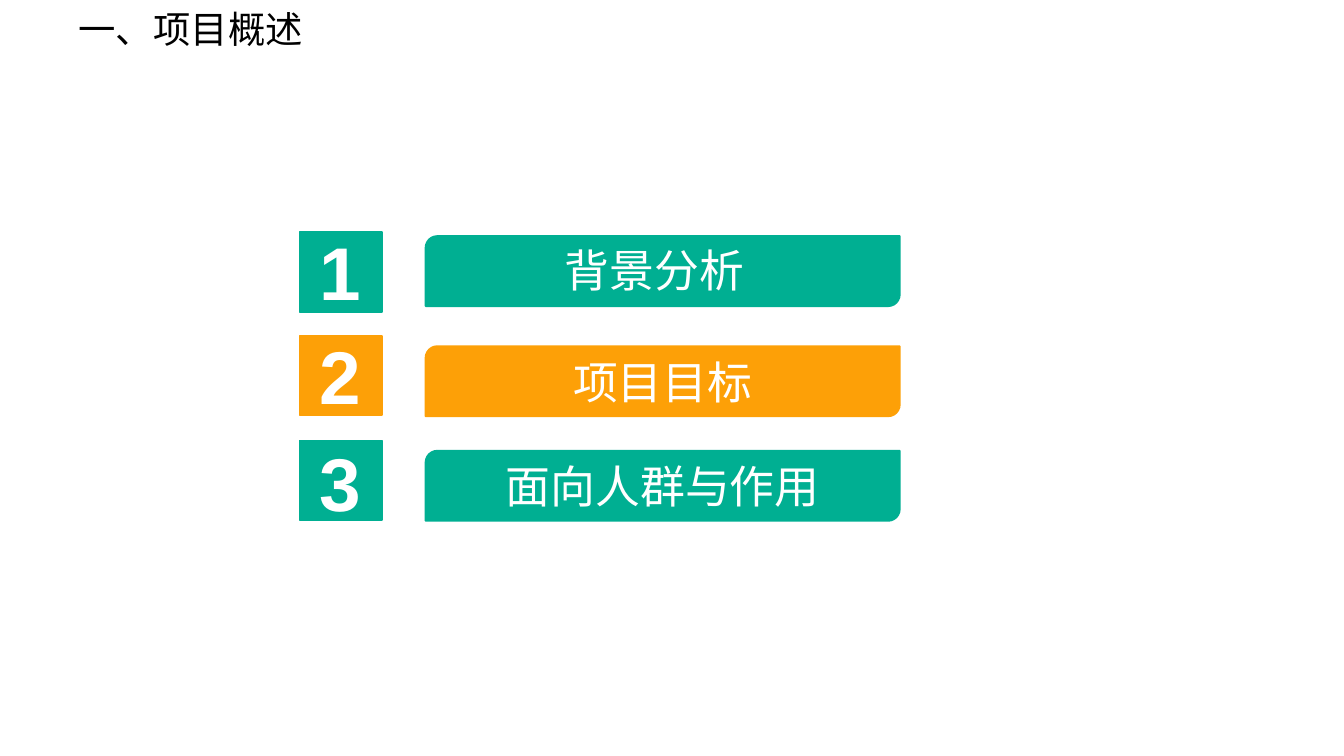
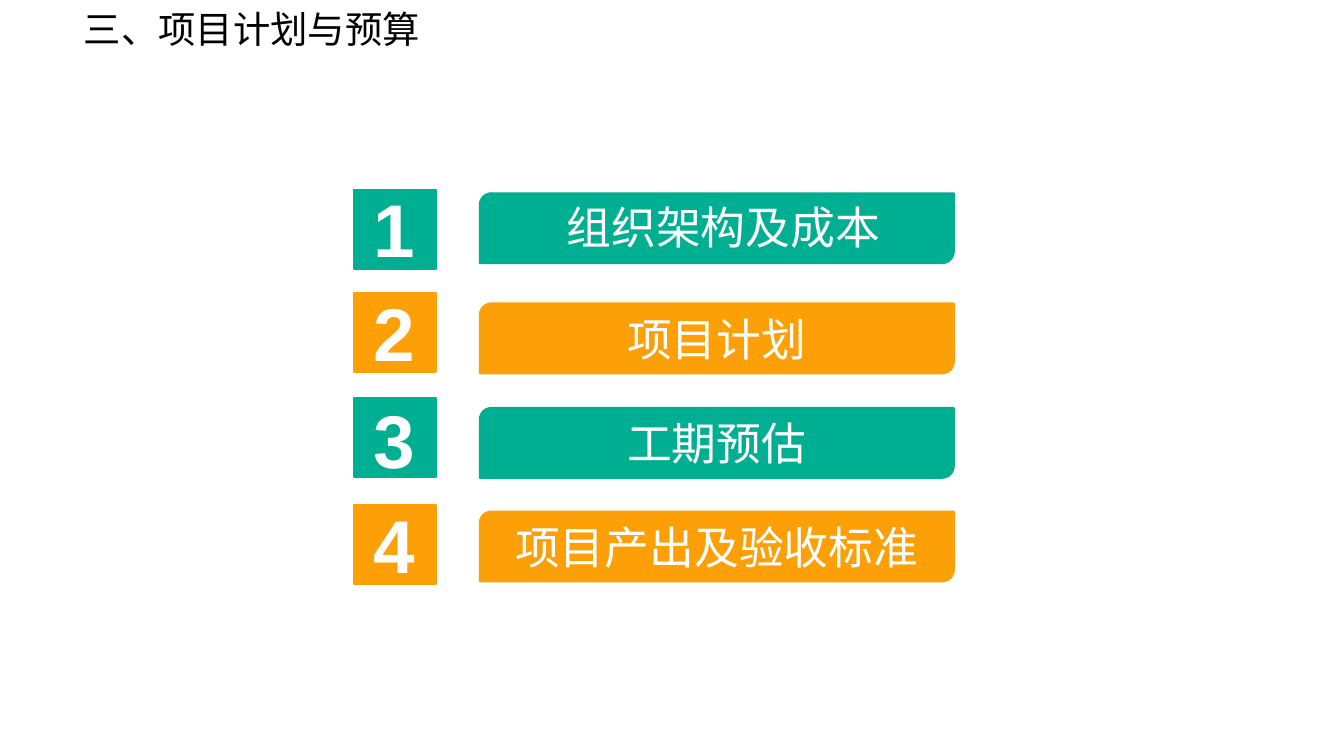
from pptx import Presentation
from pptx.dml.color import RGBColor
from pptx.enum.shapes import MSO_SHAPE
from pptx.enum.text import MSO_ANCHOR, PP_ALIGN
from pptx.util import Pt

SQUARE = MSO_SHAPE.RECTANGLE
BAR = MSO_SHAPE.ROUND_2_DIAG_RECTANGLE
MIDDLE = MSO_ANCHOR.MIDDLE
CENTER = PP_ALIGN.CENTER

GREEN, ORANGE, WHITE, BLACK = "00AF92", "FDA007", "FFFFFF", "000000"
FONT = "Arial"

SQUARE_TOPS = [0, 55.5, 111.5, 169]
BAR_TOPS = [2, 61, 117, 172.5]
NUMBER_TOPS = [-7, 48.5, 106, 162]

agendas = [
    {"title": "一、项目概述", "title_left": 34.5, "title_width": 135.5,
     "left": 160.5, "top": 124.5, "first_left": 262, "first_width": 177,
     "topics": ["背景分析", "项目目标", "面向人群与作用"]},
    {"title": "三、项目计划与预算", "title_left": 36, "title_width": 198,
     "left": 189.5, "top": 101.5, "first_left": 291, "first_width": 193,
     "topics": ["组织架构及成本", "项目计划", "工期预估", "项目产出及验收标准"]},
]


def write(holder, words, size, color, bold=False):
    frame = holder.text_frame
    frame.word_wrap = True
    paragraph = frame.paragraphs[0]
    paragraph.alignment = CENTER
    run = paragraph.add_run()
    run.text = words
    run.font.name = FONT
    run.font.size = Pt(size)
    run.font.bold = bold
    run.font.color.rgb = RGBColor.from_string(color)


def block(slide, preset, left, top, width, height, color):
    shape = slide.shapes.add_shape(preset, Pt(left), Pt(top), Pt(width), Pt(height))
    shape.shadow.inherit = False
    shape.fill.solid()
    shape.fill.fore_color.rgb = RGBColor.from_string(color)
    shape.line.color.rgb = RGBColor.from_string(color)
    shape.line.width = Pt(1)
    return shape


deck = Presentation()
deck.slide_width = Pt(720)
deck.slide_height = Pt(405)

for agenda in agendas:
    slide = deck.slides.add_slide(deck.slide_layouts[6])
    title = slide.shapes.add_textbox(
        Pt(agenda["title_left"]), Pt(0), Pt(agenda["title_width"]), Pt(31.5))
    write(title, agenda["title"], 20, BLACK)

    left, top = agenda["left"], agenda["top"]
    for index, topic in enumerate(agenda["topics"]):
        color = ORANGE if index % 2 else GREEN
        block(slide, SQUARE, left, top + SQUARE_TOPS[index], 44, 42.5, color)
        number = slide.shapes.add_textbox(
            Pt(left + 3), Pt(top + NUMBER_TOPS[index]), Pt(37), Pt(55.5))
        write(number, str(index + 1), 40, WHITE, bold=True)

        bar_top = top + BAR_TOPS[index]
        label = block(slide, BAR, left + 67.5, bar_top, 254, 37.5, color)
        label.text_frame.vertical_anchor = MIDDLE
        if index == 0:
            label = slide.shapes.add_textbox(
                Pt(agenda["first_left"]), Pt(bar_top), Pt(agenda["first_width"]), Pt(36))
        write(label, topic, 24, WHITE)

deck.save("out.pptx")
